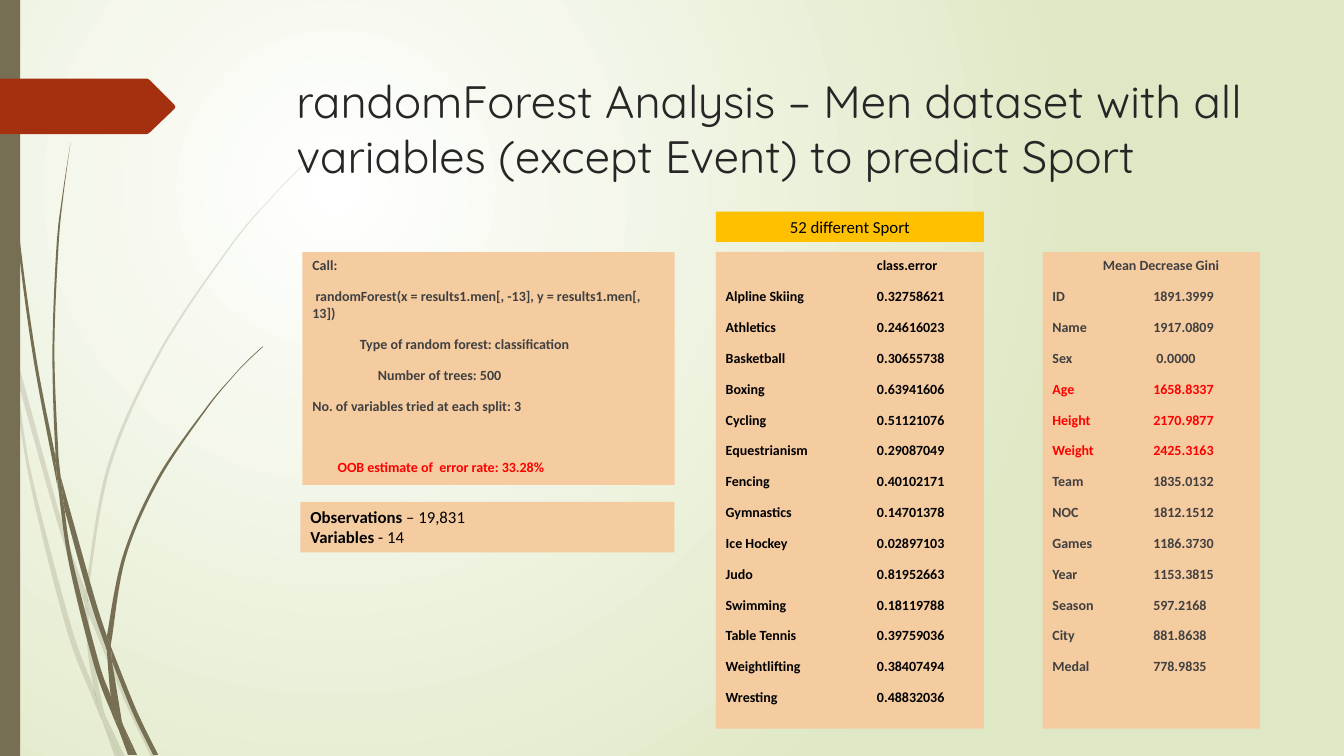
from dataclasses import dataclass

from lxml import etree
from pptx import Presentation
from pptx.dml.color import RGBColor
from pptx.enum.shapes import MSO_SHAPE
from pptx.enum.text import MSO_ANCHOR, PP_ALIGN
from pptx.oxml.ns import qn
from pptx.util import Pt

RECT = MSO_SHAPE.RECTANGLE
TOP = MSO_ANCHOR.TOP
LEFT, CENTER = PP_ALIGN.LEFT, PP_ALIGN.CENTER
PX = 9144  # EMU in one px, 100 px to the inch
OLIVE, RUST, PEACH, GOLD = "766F54", "A53010", "F5CBA0", "FFC000"
BLACK, GRAY, RED, DARK = "000000", "404040", "FF0000", "262626"

Edge = list[tuple[int, int]]


@dataclass
class Line:
    text: str
    hue: str = BLACK
    bold: bool = True
    tail: str = ""  # plain text after a bold start
    left: int = 0
    gap: int = 10


@dataclass
class Panel:
    box: tuple[int, int, int, int]
    lines: list[Line]
    size: int = 10
    hue: str = PEACH
    stop: int = 0  # tab stop
    align: PP_ALIGN = LEFT


@dataclass
class Blade:
    down: Edge
    up: Edge


# Grass: each blade is a pair of edges, in px
PALE = [
    Blade([(11, 350), (9, 322), (0, 282)], [(0, 299), (10, 344), (11, 350)]),
    Blade([(17, 376), (58, 522), (84, 599)], [(85, 586), (62, 520), (14, 345)]),
    Blade([(88, 610), (123, 694), (150, 751)],
          [(155, 751), (127, 692), (92, 607), (88, 596)]),
    Blade([(105, 711), (119, 751)], [(124, 751), (105, 711)]),
    Blade([(11, 350), (28, 470), (65, 621), (92, 693), (101, 714)],
          [(99, 707), (93, 683), (70, 619), (31, 469), (17, 376)]),
    Blade([(84, 599), (87, 646), (93, 683), (96, 692), (105, 711)],
          [(103, 706), (91, 646), (88, 610), (88, 608)]),
    Blade([(312, 153), (289, 175), (268, 197), (228, 244), (158, 348),
           (107, 461), (85, 584), (85, 586)],
          [(88, 596), (88, 584), (110, 462), (160, 349), (229, 245),
           (268, 198), (290, 175), (312, 154)]),
    Blade([(101, 714), (114, 751)], [(119, 751), (101, 714)]),
    Blade([(85, 586), (84, 599), (88, 608)], [(88, 610), (88, 596)]),
    Blade([(93, 683), (99, 707), (101, 714), (119, 751)],
          [(105, 711), (96, 692)]),
]
DEEP = [
    Blade([(3, 0), (4, 48), (7, 110), (17, 233), (33, 355), (56, 477), (57, 481)],
          [(55, 457), (55, 453), (36, 355), (19, 232), (8, 109), (5, 48), (4, 0)]),
    Blade([(64, 505), (88, 592), (106, 645)],
          [(106, 633), (106, 631), (93, 590), (60, 472)]),
    Blade([(111, 656), (132, 708), (152, 749)],
          [(157, 749), (136, 706), (113, 649), (110, 641)]),
    Blade([(57, 477), (68, 557), (93, 659), (111, 708), (117, 722)],
          [(116, 717), (110, 691), (98, 657), (72, 556), (64, 505)]),
    Blade([(70, 141), (62, 193), (56, 245), (52, 349), (55, 449), (60, 472)],
          [(58, 453), (54, 349), (58, 245), (63, 193), (70, 141)]),
    Blade([(122, 719), (133, 749)], [(136, 749), (122, 719)]),
    Blade([(55, 449), (55, 453), (57, 477), (64, 505)], [(60, 472), (55, 449)]),
    Blade([(260, 344), (245, 358), (231, 373), (204, 405), (156, 474),
           (122, 551), (106, 631)],
          [(110, 641), (111, 633), (125, 552), (158, 476), (205, 406),
           (231, 374), (245, 359), (261, 344)]),
    Blade([(117, 722), (127, 749)], [(131, 749), (117, 722)]),
    Blade([(106, 645), (110, 691), (116, 706), (122, 719)],
          [(121, 716), (111, 656), (109, 651)]),
    Blade([(106, 631), (106, 645), (109, 651)], [(111, 656), (110, 641)]),
    Blade([(110, 691), (116, 717), (117, 722), (130, 749)],
          [(133, 749), (122, 719), (116, 706)]),
]
ARROW: Edge = [(0, 78), (146, 78), (148, 79), (173, 104), (174, 106), (173, 108),
               (148, 132), (146, 133), (0, 133)]

TITLE = ("randomForest Analysis – Men dataset with all variables "
         "(except Event) to predict Sport")
ERRORS = {
    "Alpline Skiing": "0.32758621", "Athletics": "0.24616023",
    "Basketball": "0.30655738", "Boxing": "0.63941606",
    "Cycling": "0.51121076", "Equestrianism": "0.29087049",
    "Fencing": "0.40102171", "Gymnastics": "0.14701378",
    "Ice Hockey": "0.02897103", "Judo": "0.81952663",
    "Swimming": "0.18119788", "Table Tennis": "0.39759036",
    "Weightlifting": "0.38407494", "Wresting": "0.48832036",
}
GINI = {
    "ID": "1891.3999", "Name": "1917.0809", "Sex": " 0.0000",
    "Age": "1658.8337", "Height": "2170.9877", "Weight": "2425.3163",
    "Team": "1835.0132", "NOC": "1812.1512", "Games": "1186.3730",
    "Year": "1153.3815", "Season": "597.2168", "City": "881.8638",
    "Medal": "778.9835",
}
HOT = ("Age", "Height", "Weight")
PANELS = [
    Panel((1034, 250, 216, 473),
          [Line("\tMean Decrease Gini", GRAY)]
          + [Line(f"{key}\t{val}", RED if key in HOT else GRAY)
             for key, val in GINI.items()], stop=100),
    Panel((300, 250, 369, 231), [
        Line("Call:", GRAY),
        Line(" randomForest(x = results1.men[, -13], y = results1.men[, 13])", GRAY),
        Line("Type of random forest: classification", GRAY, left=47),
        Line("Number of trees: 500", GRAY, left=65),
        Line("No. of variables tried at each split: 3", GRAY),
        Line("OOB estimate of  error rate: 33.28%", RED, left=25, gap=32),
    ]),
    Panel((710, 250, 266, 473),
          [Line("\tclass.error")]
          + [Line(f"{key}\t{val}") for key, val in ERRORS.items()], stop=150),
    Panel((710, 210, 266, 30), [Line("52 different Sport", bold=False, gap=0)],
          size=12, hue=GOLD, align=CENTER),
    Panel((298, 498, 371, 50), [Line("Observations", tail=" – 19,831", gap=0),
                                Line("Variables", tail=" - 14", gap=0)], size=12),
]
PANELS[0].lines[0] = Line("Mean Decrease Gini", GRAY, left=50)


def color(hue: str) -> RGBColor:
    return RGBColor.from_string(hue)


def paint(shape, hue: str, alpha: int = 100) -> None:
    shape.shadow.inherit = False
    shape.fill.solid()
    shape.fill.fore_color.rgb = color(hue)
    shape.line.fill.background()
    if alpha < 100:
        tint = shape.fill._xPr.find(".//" + qn("a:srgbClr"))
        etree.SubElement(tint, qn("a:alpha"), val=str(alpha * 1000))


def outline(shapes, pts: Edge, hue: str, alpha: int = 100):
    form = shapes.build_freeform(*pts[0], scale=PX)
    form.add_line_segments(pts[1:], close=True)
    shape = form.convert_to_shape()
    paint(shape, hue, alpha)
    return shape


def bend(lines: list, edge: Edge, left: int, top: int) -> None:
    """Turn the straight segments of an edge into smooth curves."""
    pts = [edge[0], *edge, edge[-1]]
    for line, a, b, c, d in zip(lines, pts, pts[1:], pts[2:], pts[3:]):
        line.tag = qn("a:cubicBezTo")
        near = [q + (r - p) / 6 for p, q, r in zip(a, b, c)]
        far = [q - (r - p) / 6 for p, q, r in zip(b, c, d)]
        for spot, (x, y) in enumerate((near, far)):
            knot = etree.Element(qn("a:pt"), x=str(round((x - left) * PX)),
                                 y=str(round((y - top) * PX)))
            line.insert(spot, knot)


def grow(shapes, blade: Blade, alpha: int) -> None:
    pts = blade.down + blade.up
    track = outline(shapes, pts, OLIVE, alpha)._element.find(".//" + qn("a:path"))
    left, top = (min(axis) for axis in zip(*pts))
    # Local units become EMU so that the curves stay fine
    for name in ("w", "h"):
        track.set(name, str(int(track.get(name)) * PX))
    for knot in track.iter(qn("a:pt")):
        for name in ("x", "y"):
            knot.set(name, str(int(knot.get(name)) * PX))
    lines = track.findall(qn("a:lnTo"))
    size = len(blade.down)
    bend(lines[:size - 1], blade.down, left, top)
    bend(lines[size:], blade.up, left, top)


def block(shapes, box: tuple[int, int, int, int], hue: str):
    shape = shapes.add_shape(RECT, *(n * PX for n in box))
    paint(shape, hue)
    return shape


def style(para, name: str, size: float, hue: str, bold: bool = False) -> None:
    font = para.font
    font.name, font.size, font.bold = name, Pt(size), bold
    font.color.rgb = color(hue)


def write(para, line: Line, panel: Panel) -> None:
    para.alignment = panel.align
    para.space_before = Pt(line.gap)
    style(para, "Calibri", panel.size, line.hue, line.bold and not line.tail)
    props = para.font._element.getparent()
    if line.left:
        props.set("marL", str(line.left * PX))
        props.set("indent", "0")
    if "\t" in line.text:
        tabs = etree.Element(qn("a:tabLst"))
        etree.SubElement(tabs, qn("a:tab"), pos=str(panel.stop * PX), algn="l")
        props.find(qn("a:defRPr")).addprevious(tabs)
    head = para.add_run()
    head.text = line.text
    if line.tail:
        head.font.bold = True
        para.add_run().text = line.tail


def main() -> None:
    deck = Presentation()
    deck.slide_width, deck.slide_height = 1333 * PX, 750 * PX
    slide = deck.slides.add_slide(deck.slide_layouts[6])
    shapes = slide.shapes

    # Background glow
    fill = slide.background.fill
    fill.gradient()
    for stop, hue in zip(fill.gradient_stops, ("FFFFFF", "DFE8C4")):
        stop.color.rgb = color(hue)
    lin = slide.element.find(".//" + qn("a:lin"))
    glow = etree.Element(qn("a:path"), {"path": "circle"})
    etree.SubElement(glow, qn("a:fillToRect"), l="50000", t="50000",
                     r="100000", b="100000")
    lin.getparent().replace(lin, glow)

    # Grass, side bar and arrow
    for blades, alpha in ((PALE, 20), (DEEP, 100)):
        group = shapes.add_group_shape()
        for blade in blades:
            grow(group.shapes, blade, alpha)
    block(shapes, (0, 0, 20, 750), OLIVE)
    outline(shapes, ARROW, RUST)

    # Title
    frame = shapes.add_textbox(*(n * PX for n in (284, 68, 975, 140))).text_frame
    frame.word_wrap = True
    frame.text = TITLE
    style(frame.paragraphs[0], "Quicksand", 32.4, DARK)

    # Text panels
    for panel in PANELS:
        frame = block(shapes, panel.box, panel.hue).text_frame
        frame.word_wrap = True
        frame.vertical_anchor = TOP
        for num, line in enumerate(panel.lines):
            para = frame.add_paragraph() if num else frame.paragraphs[0]
            write(para, line, panel)

    deck.save("out.pptx")


if __name__ == "__main__":
    main()
